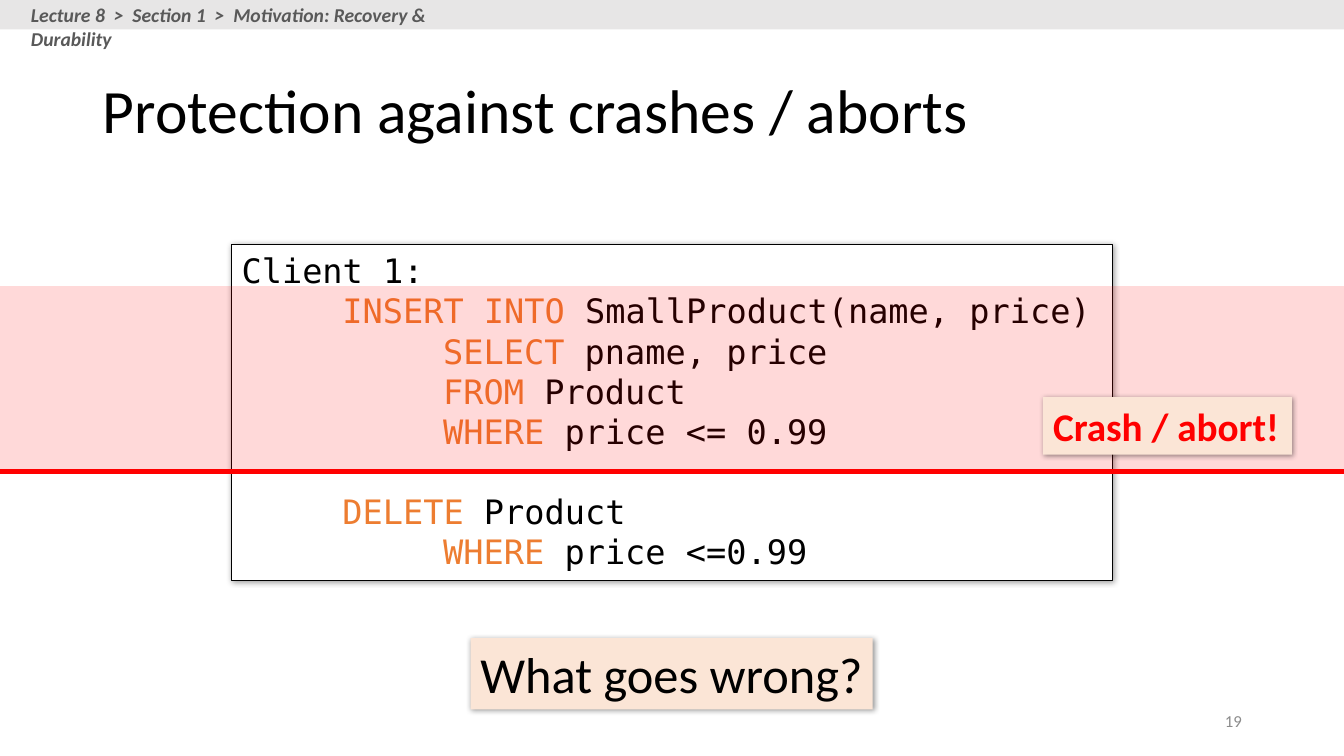
from lxml import etree
from pptx import Presentation
from pptx import util as u
from pptx.dml import color
from pptx.enum import shapes, text
from pptx.oxml import ns

SANS = {"name": "Calibri", "size": u.Pt(14)}
CODE = {"name": "DejaVu Sans Mono", "size": u.Pt(24)}
BLACK, RED, ORANGE, PEACH = "000000", "FF0000", "ED7D31", "FBE5D6"
WIDTH = 33.87
CRASH_Y = 11.89

CODE_LINES = [
    [("Client 1:", BLACK)],
    [("\tINSERT INTO", ORANGE), (" SmallProduct(name, price)", BLACK)],
    [("\t\tSELECT", ORANGE), (" pname, price", BLACK)],
    [("\t\tFROM", ORANGE), (" Product", BLACK)],
    [("\t\tWHERE", ORANGE), (" price <= 0.99", BLACK)],
    [("\tDELETE", ORANGE), (" Product", BLACK)],
    [("\t\tWHERE", ORANGE), (" price <=0.99", BLACK)],
]
DELETE_LINE = 5


def rgb(value):
    """Turn a hex string into a colour."""
    return color.RGBColor.from_string(value)


def cm(*lengths):
    """Turn numbers into centimetre lengths."""
    return [u.Cm(length) for length in lengths]


def apply(target, values):
    """Set each attribute named in a dict of format values."""
    for name, value in values.items():
        setattr(target, name, value)


def add_xml(parent, tag, **attributes):
    """Append a drawing element and return it."""
    return etree.SubElement(parent, ns.qn(tag), attributes)


def write(paragraph, wording, hue, font):
    """Add a formatted run to a paragraph."""
    run = paragraph.add_run()
    run.text = wording
    apply(run.font, font)
    run.font.color.rgb = rgb(hue)


def add_panel(parent, place, fill, outline=None):
    """Add a flat rectangle, outlined if a colour is given."""
    panel = parent.add_shape(shapes.MSO_SHAPE.RECTANGLE, *cm(*place))
    panel.shadow.inherit = False
    panel.fill.solid()
    panel.fill.fore_color.rgb = rgb(fill)
    if outline:
        panel.line.color.rgb = rgb(outline)
        panel.line.width = u.Pt(0.75)
    else:
        panel.line.fill.background()
    return panel


def cast_shadow(panel):
    """Give a panel a soft shadow to its lower right."""
    effects = panel._element.spPr.find(ns.qn("a:effectLst"))
    shade = add_xml(effects, "a:outerShdw", blurRad=str(u.Pt(4)),
                    dist=str(u.Pt(1)), dir="2700000", algn="tl",
                    rotWithShape="0")
    add_xml(add_xml(shade, "a:srgbClr", val=BLACK), "a:alpha", val="40000")


def add_label(parent, place, wording, hue, font, align="LEFT", frame=None):
    """Add a text box holding one line of wording."""
    label = parent.add_textbox(*cm(*place))
    apply(label.text_frame, {"word_wrap": True, **(frame or {})})
    line = label.text_frame.paragraphs[0]
    line.alignment = text.PP_ALIGN[align]
    write(line, wording, hue, font)


def add_callout(parent, place, wording, hue, font, align, anchor):
    """Add a peach callout with a shadow."""
    callout = add_panel(parent, place, PEACH)
    cast_shadow(callout)
    apply(callout.text_frame, {"word_wrap": False,
                               "vertical_anchor": text.MSO_ANCHOR[anchor]})
    line = callout.text_frame.paragraphs[0]
    line.alignment = text.PP_ALIGN[align]
    write(line, wording, hue, font)


def add_code(parent, place):
    """Add the transaction code, one paragraph per line."""
    listing = add_panel(parent, place, "FFFFFF", BLACK)
    cast_shadow(listing)
    frame = listing.text_frame
    apply(frame, {"word_wrap": True, "vertical_anchor": text.MSO_ANCHOR.TOP})
    for number, parts in enumerate(CODE_LINES):
        line = frame.add_paragraph() if number else frame.paragraphs[0]
        line.alignment = text.PP_ALIGN.LEFT
        line._p.get_or_add_pPr().set("defTabSz", str(u.Cm(2.54)))
        if number == DELETE_LINE:
            line.space_before = u.Cm(1)
        for wording, hue in parts:
            write(line, wording, hue, CODE)


def add_crash(parent):
    """Add the crash line and the tinted band above it."""
    crash = parent.add_connector(shapes.MSO_CONNECTOR.STRAIGHT,
                                 *cm(0, CRASH_Y, WIDTH, CRASH_Y))
    crash.line.color.rgb = rgb(RED)
    crash.line.width = u.Pt(3.5)
    add_xml(crash._element.spPr, "a:effectLst")
    band = add_panel(parent, (0, 7.21, WIDTH, CRASH_Y - 7.21), RED)
    tint = band._element.spPr.find(".//" + ns.qn("a:srgbClr"))
    add_xml(tint, "a:alpha", val="15000")


def set_title(title, wording):
    """Place and format the slide title."""
    places = cm(2.34, 1.02, 29.21, 3.68)
    apply(title, dict(zip(("left", "top", "width", "height"), places)))
    apply(title.text_frame, {"auto_size": text.MSO_AUTO_SIZE.NONE,
                             "vertical_anchor": text.MSO_ANCHOR.MIDDLE})
    line = title.text_frame.paragraphs[0]
    apply(line, {"alignment": text.PP_ALIGN.LEFT, "line_spacing": 0.9})
    write(line, wording, BLACK, {**SANS, "size": u.Pt(44)})


def add_header(parent, wording):
    """Add the grouped grey strip with the lecture trail."""
    header = parent.add_group_shape().shapes
    add_panel(header, (0, 0, WIDTH, 0.74), "E7E6E6")
    add_label(header, (0.53, -0.05, 12.5, 0.86), wording, "595959",
              {**SANS, "bold": True, "italic": True})


def main():
    """Build the slide and save it."""
    deck = Presentation()
    apply(deck, {"slide_width": u.Cm(WIDTH), "slide_height": u.Cm(19.05)})
    parts = deck.slides.add_slide(deck.slide_layouts[5]).shapes
    set_title(parts.title, "Protection against crashes / aborts")
    add_label(parts, (23.93, 17.65, 7.62, 1.02), "19", "8C8C8C",
              {**SANS, "size": u.Pt(12)}, "RIGHT",
              {"vertical_anchor": text.MSO_ANCHOR.MIDDLE})
    add_code(parts, (5.84, 6.17, 22.2, 8.46))
    add_callout(parts, (11.86, 16.08, 10.13, 1.8), "What goes wrong?", BLACK,
                {**SANS, "size": u.Pt(36)}, "CENTER", "MIDDLE")
    add_crash(parts)
    add_callout(parts, (26.29, 10.01, 6.27, 1.45), "Crash / abort!", RED,
                {**SANS, "size": u.Pt(28), "bold": True}, "LEFT", "TOP")
    add_header(parts, "Lecture 8  >  Section 1  >  "
                      "Motivation: Recovery & Durability")
    deck.save("out.pptx")


if __name__ == "__main__":
    main()
